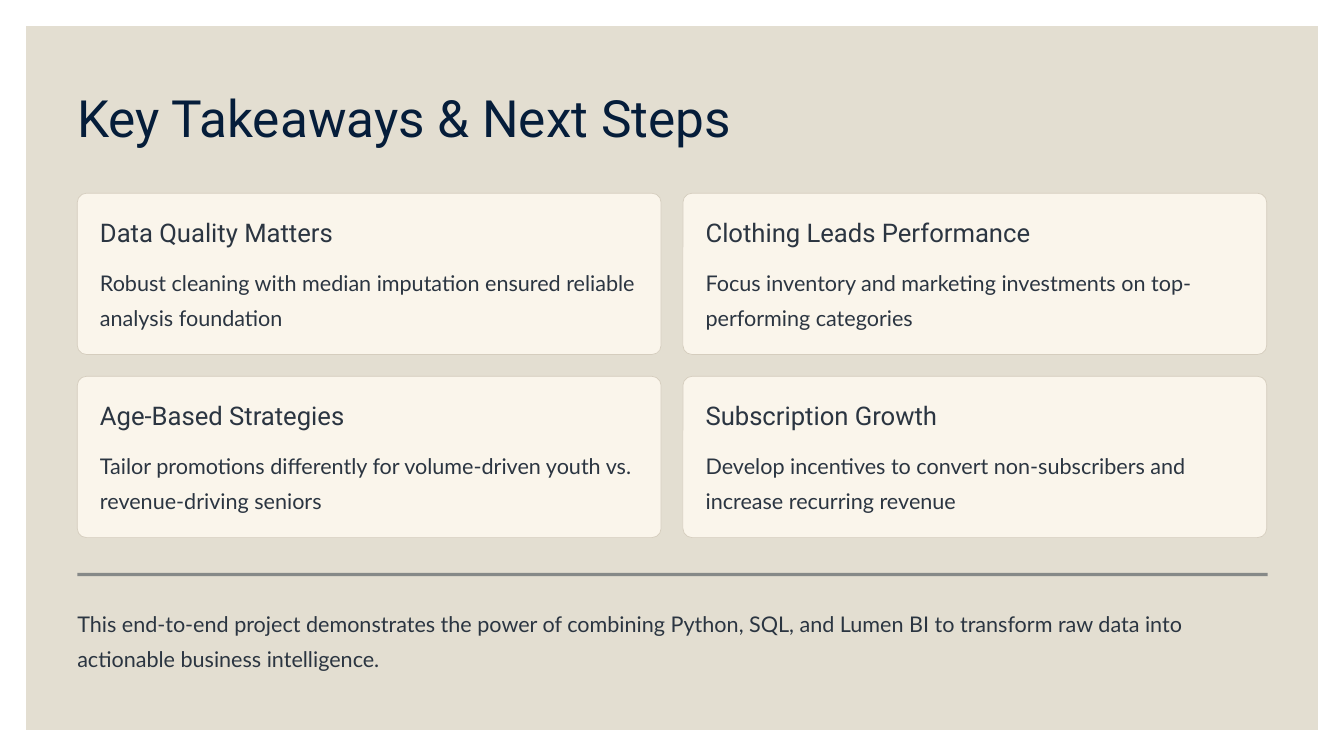
import pptx
import pptx.dml.color
import pptx.enum.shapes
import pptx.oxml
import pptx.oxml.ns
import pptx.util
from pptx.util import Inches

# Content
TITLE = "Key Takeaways & Next Steps"
TAKEAWAYS = [
    ("Data Quality Matters",
     "Robust cleaning with median imputation ensured reliable analysis foundation"),
    ("Clothing Leads Performance",
     "Focus inventory and marketing investments on top-performing categories"),
    ("Age-Based Strategies",
     "Tailor promotions differently for volume-driven youth vs. revenue-driving seniors"),
    ("Subscription Growth",
     "Develop incentives to convert non-subscribers and increase recurring revenue"),
]
CLOSING = ("This end-to-end project demonstrates the power of combining Python, SQL, "
           "and Lumen BI to transform raw data into actionable business intelligence.")

# Style: font, size, line spacing, colour
NAVY, INK = "051D3A", "2B3541"
TITLE_STYLE = ("Roboto", 44, 55, NAVY)
HEADING_STYLE = ("Roboto", 22, 27.5, INK)
BODY_STYLE = ("Lato", 18.5, 30, INK)

# Layout in inches
MARGIN, CONTENT_WIDTH = 0.92, 14.17
CARD_TOP, CARD_WIDTH, CARD_HEIGHT = 2.3, 6.95, 1.92
COLUMN_STEP, ROW_STEP, PADDING = 7.21, 2.18, 0.27
RECTANGLE = pptx.enum.shapes.MSO_SHAPE.RECTANGLE
ROUNDED = pptx.enum.shapes.MSO_SHAPE.ROUNDED_RECTANGLE


def color(value):
    return pptx.dml.color.RGBColor.from_string(value)


def add_box(slide, kind, left, top, width, height, fill):
    shape = slide.shapes.add_shape(
        kind, Inches(left), Inches(top), Inches(width), Inches(height))
    shape.shadow.inherit = False
    shape.fill.solid()
    shape.fill.fore_color.rgb = color(fill)
    shape.line.fill.background()
    return shape


def add_text(slide, text, left, top, width, height, style, wrap=True):
    font_name, size, spacing, text_color = style
    box = slide.shapes.add_textbox(
        Inches(left), Inches(top), Inches(width), Inches(height))
    frame = box.text_frame
    frame.word_wrap = wrap
    frame.margin_left = frame.margin_right = 0
    frame.margin_top = frame.margin_bottom = 0
    paragraph = frame.paragraphs[0]
    paragraph.line_spacing = pptx.util.Pt(spacing)
    run = paragraph.add_run()
    run.text = text
    run.font.name = font_name
    run.font.size = pptx.util.Pt(size)
    run.font.color.rgb = color(text_color)


def add_card(slide, left, top, heading, body):
    card = add_box(slide, ROUNDED, left, top, CARD_WIDTH, CARD_HEIGHT, "FAF5EB")
    card.adjustments[0] = 0.057
    card.line.color.rgb = color("D5CDBE")
    card.line.width = pptx.util.Pt(0.6)
    text_left = left + PADDING
    text_width = CARD_WIDTH - 2 * PADDING
    add_text(slide, heading, text_left, top + PADDING, text_width, 0.38, HEADING_STYLE)
    add_text(slide, body, text_left, top + 0.81, text_width, 0.84, BODY_STYLE)


def main():
    presentation = pptx.Presentation()
    presentation.slide_width = Inches(16)
    presentation.slide_height = Inches(9)
    slide = presentation.slides.add_slide(presentation.slide_layouts[6])

    # Panel and title
    add_box(slide, RECTANGLE, 0.31, 0.31, 15.38, 8.38, "E3DED1")
    add_text(slide, TITLE, MARGIN, 1, 8.24, 0.77, TITLE_STYLE, wrap=False)

    # Two-by-two grid of cards
    for index, (heading, body) in enumerate(TAKEAWAYS):
        row, column = divmod(index, 2)
        add_card(slide, MARGIN + column * COLUMN_STEP, CARD_TOP + row * ROW_STEP,
                 heading, body)

    # Half-transparent divider
    divider = add_box(slide, RECTANGLE, MARGIN, 6.82, CONTENT_WIDTH, 0.04, INK)
    fill_color = divider.fill._xPr.find(".//" + pptx.oxml.ns.qn("a:srgbClr"))
    alpha = pptx.oxml.parse_xml(
        f'<a:alpha {pptx.oxml.ns.nsdecls("a")} val="50000"/>')
    fill_color.append(alpha)

    # Closing statement
    add_text(slide, CLOSING, MARGIN, 7.16, CONTENT_WIDTH, 0.84, BODY_STYLE)

    presentation.save("out.pptx")


if __name__ == "__main__":
    main()
